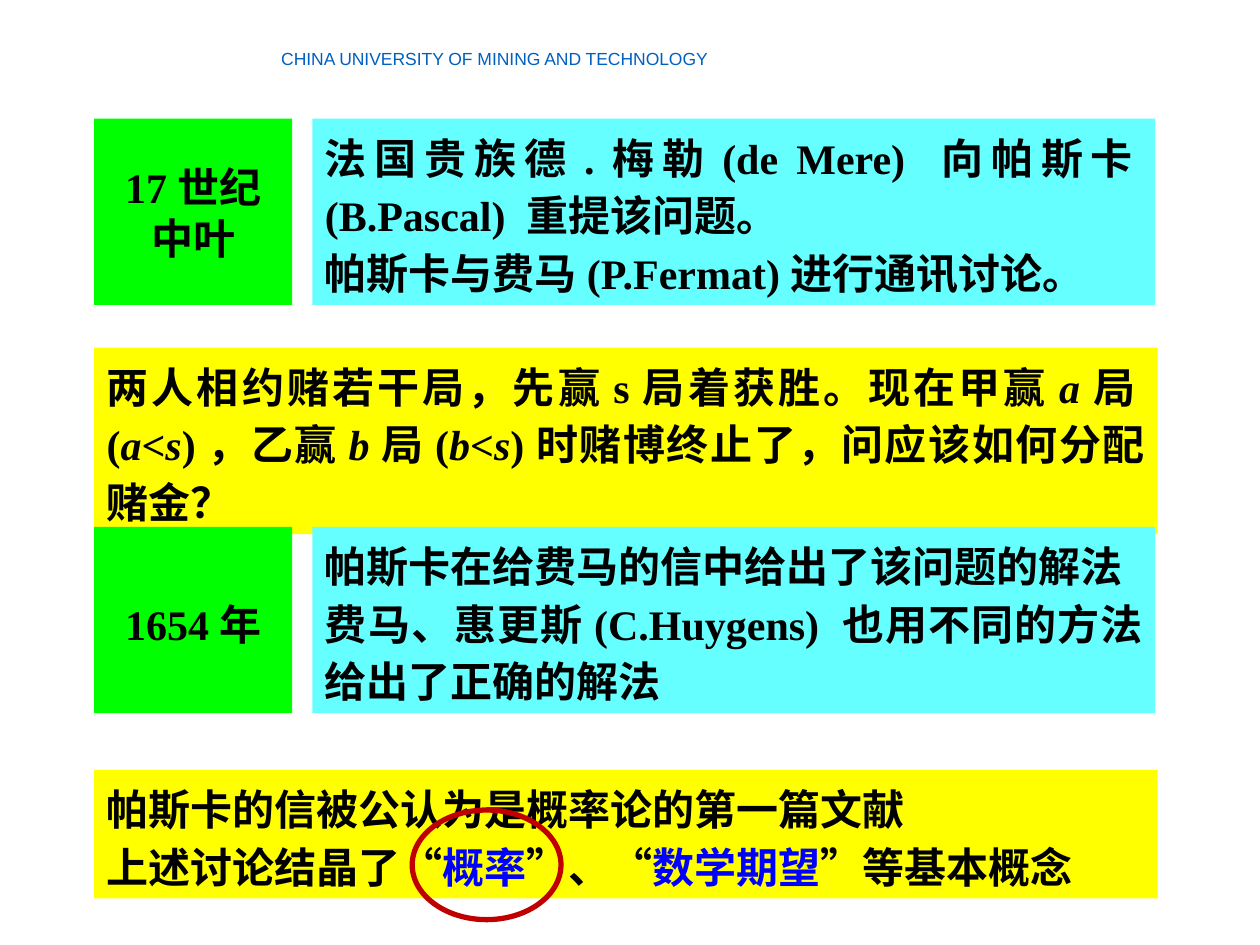
from pptx import Presentation
from pptx.dml.color import RGBColor
from pptx.enum.shapes import MSO_SHAPE
from pptx.enum.text import MSO_ANCHOR, PP_ALIGN
from pptx.util import Cm, Pt

RECTANGLE, OVAL = MSO_SHAPE.RECTANGLE, MSO_SHAPE.OVAL
TOP, MIDDLE = MSO_ANCHOR.TOP, MSO_ANCHOR.MIDDLE
LEFT, CENTER, JUSTIFY = PP_ALIGN.LEFT, PP_ALIGN.CENTER, PP_ALIGN.JUSTIFY

BLACK = RGBColor(0, 0, 0)
BLUE = RGBColor(0, 0, 0xFF)
HEADER_BLUE = RGBColor(0, 0x60, 0xC0)
GREEN = RGBColor(0, 0xFF, 0)
CYAN = RGBColor(0x66, 0xFF, 0xFF)
YELLOW = RGBColor(0xFF, 0xFF, 0)
DARK_RED = RGBColor(0xC0, 0, 0)

MARGIN = 1.9
DATE_WIDTH = 3.99
EVENT_LEFT = 6.3
EVENT_WIDTH = 16.99
FULL_WIDTH = 21.44
PANEL_HEIGHT = 3.76


def italic(font):
    font.italic = True


def blue(font):
    font.color.rgb = BLUE


def format_font(font, name, size, color, bold=False):
    font.name = name
    font.size = Pt(size)
    font.color.rgb = color
    font.bold = bold


def add_header(slide, text):
    box = slide.shapes.add_textbox(Cm(5.44), Cm(0.86), Cm(10.16), Cm(0.64))
    frame = box.text_frame
    frame.word_wrap = True
    frame.margin_left = frame.margin_right = Cm(0.23)
    frame.margin_top = frame.margin_bottom = Cm(0.1)
    paragraph = frame.paragraphs[0]
    paragraph.text = text
    paragraph.alignment = LEFT
    format_font(paragraph.font, "Arial", 10, HEADER_BLUE)


def add_panel(slide, left, top, width, height, fill, lines,
              alignment=JUSTIFY, anchor=TOP, spacing=33, emphasize=None):
    """Add a filled text panel; text between bars in a line is emphasized."""
    shape = slide.shapes.add_shape(RECTANGLE, Cm(left), Cm(top), Cm(width), Cm(height))
    shape.shadow.inherit = False
    shape.fill.solid()
    shape.fill.fore_color.rgb = fill
    shape.line.fill.background()
    frame = shape.text_frame
    frame.word_wrap = True
    frame.vertical_anchor = anchor
    for index, line in enumerate(lines):
        paragraph = frame.add_paragraph() if index else frame.paragraphs[0]
        paragraph.alignment = alignment
        paragraph.line_spacing = Pt(spacing)
        format_font(paragraph.font, "Times New Roman", 24, BLACK, bold=True)
        for part, text in enumerate(line.split("|")):
            run = paragraph.add_run()
            run.text = text
            if part % 2:
                emphasize(run.font)


def add_event(slide, top, date_lines, event_lines, date_spacing=33):
    """Add a green date panel and the cyan panel that tells what happened."""
    add_panel(slide, MARGIN, top, DATE_WIDTH, PANEL_HEIGHT, GREEN, date_lines,
              alignment=CENTER, anchor=MIDDLE, spacing=date_spacing)
    add_panel(slide, EVENT_LEFT, top, EVENT_WIDTH, PANEL_HEIGHT, CYAN, event_lines)


def add_ring(slide, left, top, width, height):
    ring = slide.shapes.add_shape(OVAL, Cm(left), Cm(top), Cm(width), Cm(height))
    ring.shadow.inherit = False
    ring.fill.background()
    ring.line.color.rgb = DARK_RED
    ring.line.width = Pt(3)


def main():
    presentation = Presentation()
    presentation.slide_width = Cm(25.4)
    presentation.slide_height = Cm(19.05)
    slide = presentation.slides.add_slide(presentation.slide_layouts[6])

    add_header(slide, "CHINA UNIVERSITY OF MINING AND TECHNOLOGY")
    add_event(slide, 2.39, ["17世纪", "中叶"],
              ["法国贵族德.梅勒(de Mere) 向帕斯卡(B.Pascal) 重提该问题。",
               "帕斯卡与费马(P.Fermat)进行通讯讨论。"], date_spacing=29)
    add_panel(slide, MARGIN, 7.01, FULL_WIDTH, PANEL_HEIGHT, YELLOW,
              ["两人相约赌若干局，先赢s局着获胜。现在甲赢|a|局(|a|<|s|)，"
               "乙赢|b|局(|b|<|s|)时赌博终止了，问应该如何分配赌金？"],
              emphasize=italic)
    add_event(slide, 10.62, ["1654年"],
              ["帕斯卡在给费马的信中给出了该问题的解法",
               "费马、惠更斯(C.Huygens) 也用不同的方法给出了正确的解法"])
    add_panel(slide, MARGIN, 15.52, FULL_WIDTH, 2.59, YELLOW,
              ["帕斯卡的信被公认为是概率论的第一篇文献",
               "上述讨论结晶了“|概率|”、“|数学期望|”等基本概念"],
              emphasize=blue)
    add_ring(slide, 8.31, 16.33, 3.0, 2.21)

    presentation.save("out.pptx")


if __name__ == "__main__":
    main()
